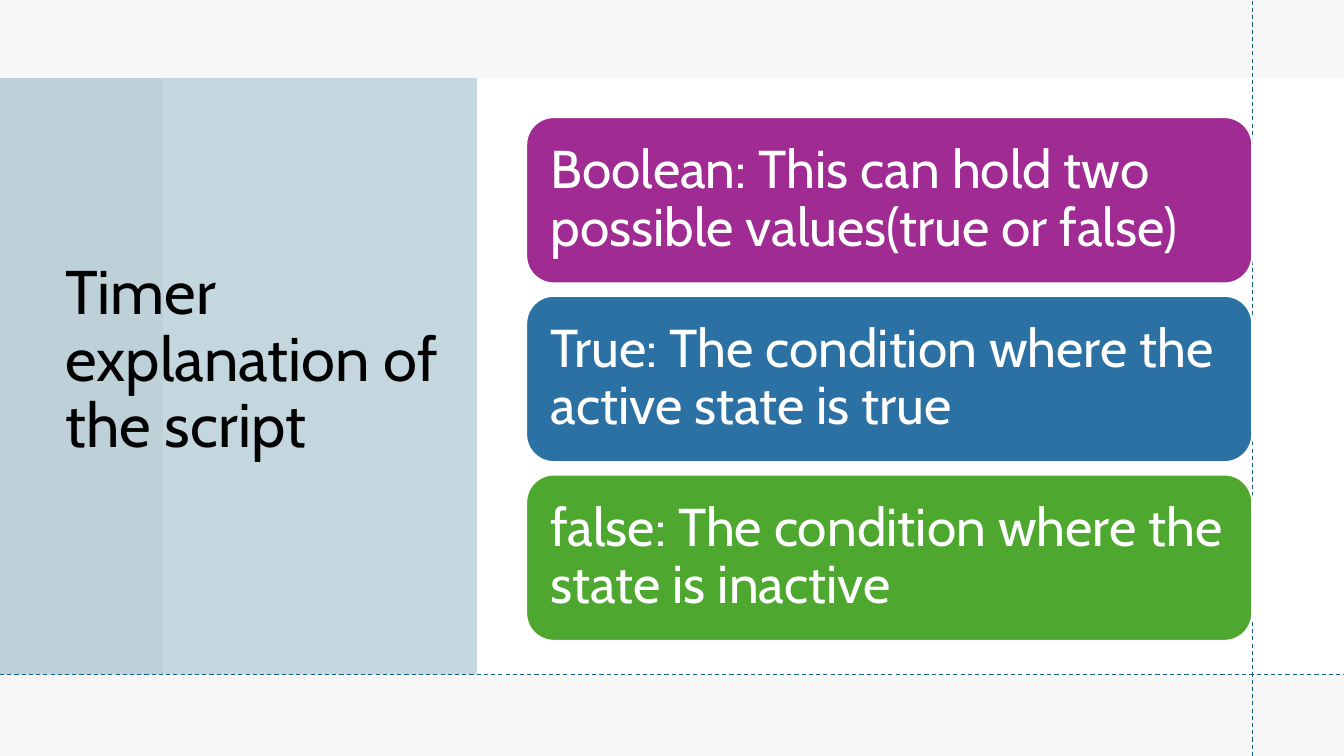
from lxml import etree
from pptx import Presentation
from pptx.dml.color import RGBColor
from pptx.enum.dml import MSO_LINE
from pptx.enum.shapes import MSO_CONNECTOR, MSO_SHAPE
from pptx.enum.text import MSO_ANCHOR, MSO_AUTO_SIZE, PP_ALIGN
from pptx.oxml.ns import qn
from pptx.util import Cm, Pt

RECTANGLE = MSO_SHAPE.RECTANGLE
ROUNDED = MSO_SHAPE.ROUNDED_RECTANGLE
STRAIGHT = MSO_CONNECTOR.STRAIGHT
DASH = MSO_LINE.DASH
MIDDLE = MSO_ANCHOR.MIDDLE
LEFT = PP_ALIGN.LEFT
NO_FIT = MSO_AUTO_SIZE.NONE
TITLE_ONLY = 5

FONT = "Cabin"
WIDTH, HEIGHT = Cm(33.87), Cm(19.05)
COLOURS = {
    "backdrop": "F7F7F7",
    "white": "FFFFFF",
    "black": "000000",
    "accent": "156082",
    "purple": "A02B93",
    "blue": "2C71A4",
    "green": "4EA72E",
}
CARDS = [
    ("Boolean: This can hold two possible values(true or false)", "purple"),
    ("True: The condition where the active state is true", "blue"),
    ("false: The condition where the state is inactive", "green"),
]


def colour(name):
    return RGBColor.from_string(COLOURS[name])


def add_block(slide, kind, box, fill):
    shape = slide.shapes.add_shape(kind, *box)
    shape.shadow.inherit = False
    shape.fill.solid()
    shape.fill.fore_color.rgb = colour(fill)
    shape.line.fill.background()
    return shape


def write_text(shape, text, size, text_colour, inset):
    frame = shape.text_frame
    frame.word_wrap = True
    frame.auto_size = NO_FIT
    frame.vertical_anchor = MIDDLE
    frame.margin_left = frame.margin_right = inset
    frame.margin_top = frame.margin_bottom = inset
    paragraph = frame.paragraphs[0]
    paragraph.alignment = LEFT
    paragraph.line_spacing = 0.9
    run = paragraph.add_run()
    run.text = text
    run.font.name = FONT
    run.font.size = Pt(size)
    run.font.color.rgb = colour(text_colour)


def add_guide(slide, start, end):
    guide = slide.shapes.add_connector(STRAIGHT, *start, *end)
    guide.line.color.rgb = colour("accent")
    guide.line.width = Pt(0.75)
    guide.line.dash_style = DASH
    etree.SubElement(guide._element.spPr, qn("a:effectLst"))


def add_backdrop(slide, left, top, width, height):
    slide.background.fill.solid()
    slide.background.fill.fore_color.rgb = colour("backdrop")
    add_block(slide, RECTANGLE, (left, top, width, height), "white")


def add_title_panel(slide, left, top, width, height):
    panel = add_block(slide, RECTANGLE, (left, top, width, height), "accent")
    accent = panel.fill._xPr.find(qn("a:solidFill"))[0]
    etree.SubElement(accent, qn("a:alpha"), val="25000")
    title = slide.shapes.title
    title.left, title.top = left + Cm(1.4), top - Cm(0.09)
    title.width, title.height = width - Cm(1.99), height - Cm(0.59)
    write_text(title, "Timer explanation of the script", 44, "black", Cm(0.25))
    slide.shapes._spTree.append(title._element)


def add_cards(slide, left, top, width, height):
    gap = Cm(0.31)
    card_height = (height - gap * (len(CARDS) - 1)) // len(CARDS)
    for index, (text, fill) in enumerate(CARDS):
        card_top = top + index * (card_height + gap)
        card = add_block(slide, ROUNDED, (left, card_top, width, card_height), fill)
        card.line.color.rgb = colour("white")
        card.line.width = Pt(1.5)
        write_text(card, text, 38, "white", Cm(0.41))


def main():
    presentation = Presentation()
    presentation.slide_width, presentation.slide_height = WIDTH, HEIGHT
    slide = presentation.slides.add_slide(presentation.slide_layouts[TITLE_ONLY])
    panel_top, panel_height = Cm(1.97), Cm(15.03)
    guide_x, guide_y = Cm(31.56), Cm(17)
    backdrop_left = Cm(4.11)
    add_backdrop(slide, backdrop_left, panel_top, WIDTH - backdrop_left, Cm(15.08))
    add_title_panel(slide, Cm(0), panel_top, Cm(12.02), panel_height)
    add_guide(slide, (guide_x, HEIGHT), (guide_x, Cm(0)))
    add_guide(slide, (Cm(0), guide_y), (WIDTH, guide_y))
    cards_left = Cm(13.26)
    add_cards(slide, cards_left, Cm(2.95), guide_x - cards_left, Cm(13.2))
    presentation.save("out.pptx")


if __name__ == "__main__":
    main()
